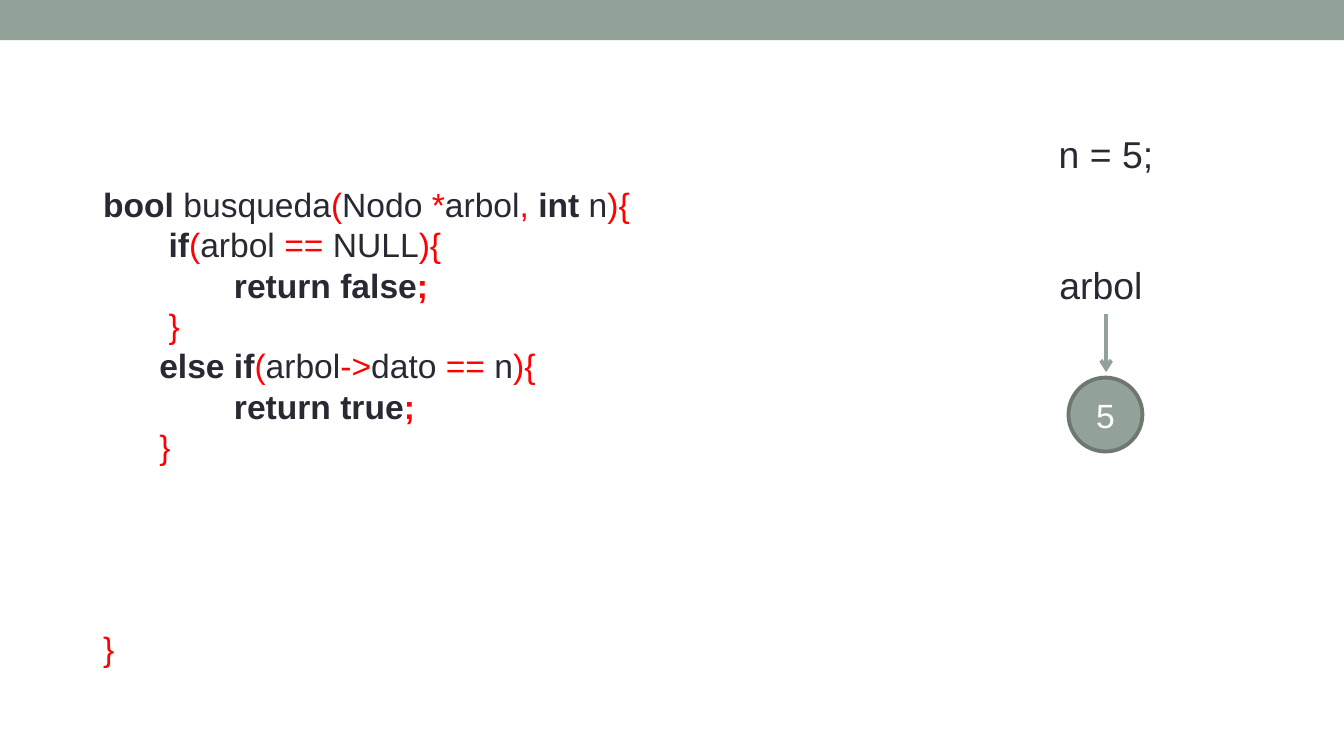
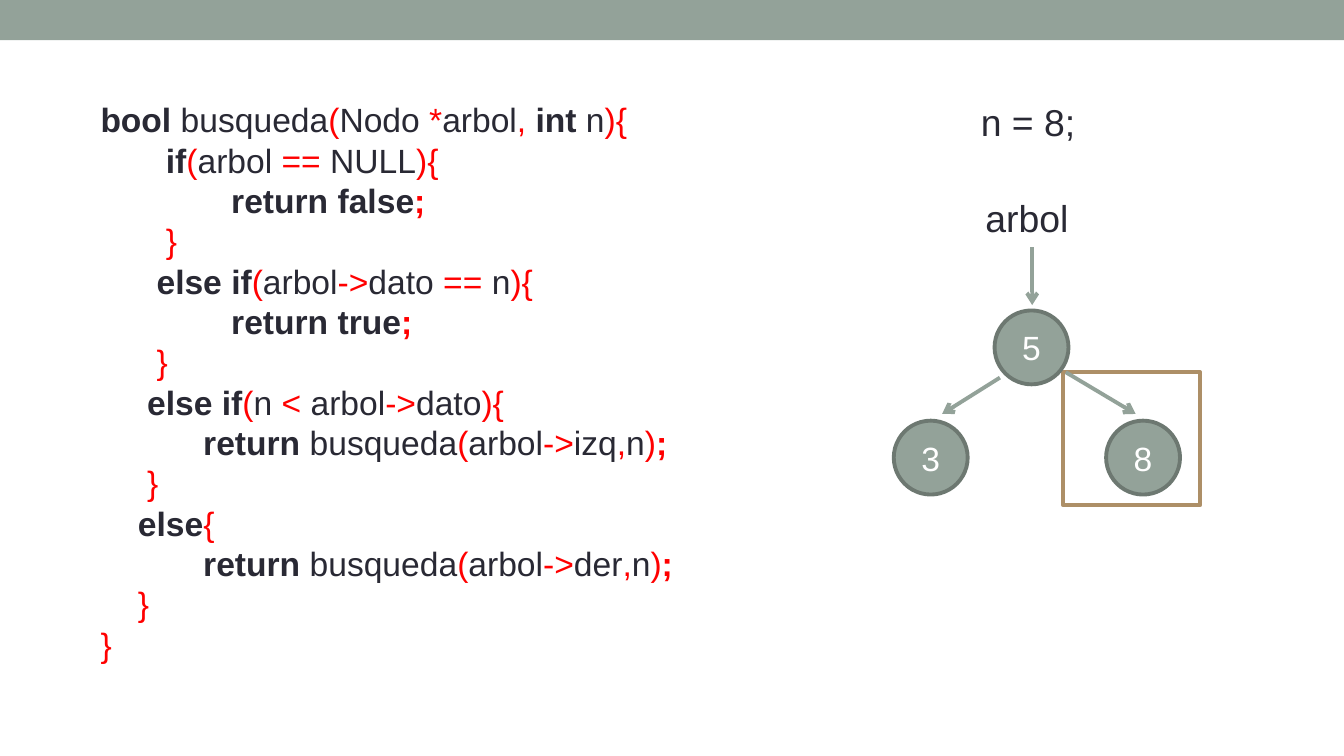
from dataclasses import dataclass
from itertools import groupby

from lxml.etree import SubElement
from pptx import Presentation
from pptx.dml.color import RGBColor
from pptx.enum.shapes import MSO_CONNECTOR, MSO_SHAPE
from pptx.enum.text import MSO_ANCHOR, MSO_AUTO_SIZE, PP_ALIGN
from pptx.oxml.ns import qn
from pptx.util import Inches, Pt


@dataclass(frozen=True)
class Theme:
    """Colours, type and line sizes shared by the slides."""
    sage: RGBColor = RGBColor(0x93, 0xA2, 0x99)
    outline: RGBColor = RGBColor(0x6D, 0x78, 0x71)
    tan: RGBColor = RGBColor(0xAD, 0x8F, 0x67)
    ink: RGBColor = RGBColor(0x29, 0x29, 0x34)
    red: RGBColor = RGBColor(0xFF, 0x00, 0x00)
    white: RGBColor = RGBColor(0xFF, 0xFF, 0xFF)
    font: str = "Arial"
    code_size: float = 18
    label_size: float = 20
    leading: float = 1.2
    stroke: float = 2.08


THEME = Theme()
KEYWORDS = {"bool", "int", "if", "else", "return", "true", "false"}
NODE = 0.55

BASE_CASES = """bool busqueda(Nodo *arbol, int n){
       if(arbol == NULL){
              return false;
       }
      else if(arbol->dato == n){
              return true;
      }""".splitlines()

RECURSIVE_CASES = """     else if(n < arbol->dato){
           return busqueda(arbol->izq,n);
     }
    else{
           return busqueda(arbol->der,n);
    }""".splitlines()


def write(paragraph, text, *, size=THEME.code_size, color=THEME.ink, bold=False,
          align=PP_ALIGN.LEFT):
    """Append formatted text to a paragraph."""
    paragraph.alignment = align
    paragraph.line_spacing = Pt(size * THEME.leading)
    run = paragraph.add_run()
    run.text = text
    run.font.name = THEME.font
    run.font.size = Pt(size)
    run.font.bold = bold
    run.font.color.rgb = color


def add_text_box(slide, left, top, width, height):
    """Return a wrapping text box that grows with its text."""
    box = slide.shapes.add_textbox(Inches(left), Inches(top), Inches(width), Inches(height))
    box.text_frame.word_wrap = True
    box.text_frame.auto_size = MSO_AUTO_SIZE.SHAPE_TO_FIT_TEXT
    return box


def add_label(slide, text, left, top, width, align=PP_ALIGN.CENTER):
    """Place a one-line label."""
    label = add_text_box(slide, left, top, width, 0.44)
    write(label.text_frame.paragraphs[0], text, size=THEME.label_size, align=align)
    return label


def add_figure(slide, preset, left, top, width, height, fill, outline=None):
    """Place a filled preset shape, outlined on request."""
    figure = slide.shapes.add_shape(
        preset, Inches(left), Inches(top), Inches(width), Inches(height))
    figure.shadow.inherit = False
    figure.fill.solid()
    figure.fill.fore_color.rgb = fill
    if outline is None:
        figure.line.fill.background()
    else:
        figure.line.color.rgb = outline
        figure.line.width = Pt(THEME.stroke)
    return figure


def add_arrow(slide, start, end):
    """Draw an open-headed arrow between two points."""
    arrow = slide.shapes.add_connector(
        MSO_CONNECTOR.STRAIGHT, *(Inches(value) for value in (*start, *end)))
    arrow.line.color.rgb = THEME.sage
    arrow.line.width = Pt(THEME.stroke)
    properties = arrow._element.spPr
    SubElement(properties.find(qn("a:ln")), qn("a:tailEnd"), type="arrow")
    SubElement(properties, qn("a:effectLst"))
    return arrow


def add_node(slide, value, left, top):
    """Draw a tree node with its value."""
    node = add_figure(slide, MSO_SHAPE.OVAL, left, top, NODE, NODE, THEME.sage, THEME.outline)
    frame = node.text_frame
    frame.margin_left = frame.margin_right = frame.margin_top = frame.margin_bottom = 0
    frame.vertical_anchor = MSO_ANCHOR.MIDDLE
    write(frame.paragraphs[0], value, color=THEME.white, align=PP_ALIGN.CENTER)


def char_kind(char):
    """Classify a code character as word, space, semicolon or symbol."""
    if char.isalnum():
        return "word"
    return "space" if char.isspace() else "end" if char == ";" else "symbol"


def highlight(line):
    """Yield (text, colour, bold) for each stretch of a code line."""
    styled = []
    for kind, chars in groupby(line, char_kind):
        token = "".join(chars)
        color = THEME.red if kind in ("end", "symbol") else THEME.ink
        styled.append((token, color, kind == "end" or token in KEYWORDS))
    for (color, bold), tokens in groupby(styled, lambda part: part[1:]):
        yield "".join(token for token, *_ in tokens), color, bold


def add_code(slide, lines, left, top, width, height, skipped_lines=0):
    """Place highlighted code, with room for skipped lines before its closing brace."""
    frame = add_text_box(slide, left, top, width, height).text_frame
    for index, line in enumerate([*lines, "}"]):
        paragraph = frame.add_paragraph() if index else frame.paragraphs[0]
        for text, color, bold in highlight(line):
            write(paragraph, text, color=color, bold=bold)
    if skipped_lines:
        paragraph.space_before = Pt(skipped_lines * THEME.code_size * THEME.leading)


def add_root(slide, value, left, top):
    """Draw the root node under the pointer that names it."""
    pointer = add_label(slide, "arbol ", left - 0.43, top - 0.91, 1.42)
    center = left + 0.28
    arrow = add_arrow(slide, (center, top - 0.47), (center, top - 0.04))
    arrow.begin_connect(pointer, 2)
    add_node(slide, value, left, top)


def add_children(slide, smaller, larger, left, top):
    """Draw the two children of the root at the given place."""
    add_arrow(slide, (left + 0.04, top + 0.5), (left - 0.39, top + 0.77))
    add_node(slide, smaller, left - 0.75, top + 0.82)
    add_arrow(slide, (left + 0.53, top + 0.46), (left + 1.05, top + 0.77))
    add_node(slide, larger, left + 0.83, top + 0.82)


def add_slide(deck):
    """Add a blank slide with the top band."""
    slide = deck.slides.add_slide(deck.slide_layouts[6])
    add_figure(slide, MSO_SHAPE.RECTANGLE, 0, 0, 10, 0.3, THEME.sage)
    return slide


def build_root_search(deck):
    """Build the slide where the value is found at the root."""
    slide = add_slide(deck)
    add_code(slide, BASE_CASES, 0.67, 1.32, 4.17, 3.74, skipped_lines=4)
    add_root(slide, "5", 7.95, 2.81)
    add_label(slide, "n = 5;", 7.13, 0.93, 2.2)


def build_subtree_search(deck):
    """Build the slide where the search goes on in the right subtree."""
    slide = add_slide(deck)
    left, top = 7.4, 2.31
    add_code(slide, BASE_CASES + RECURSIVE_CASES, 0.65, 0.69, 4.9, 4.34)
    add_label(slide, "n = 8;", 7.2, 0.69, 1.1, align=PP_ALIGN.LEFT)
    add_figure(slide, MSO_SHAPE.RECTANGLE, left + 0.51, top + 0.46, 1.02, 0.99,
               THEME.white, THEME.tan)
    add_root(slide, "5", left, top)
    add_children(slide, "3", "8", left, top)


def main():
    """Build and save a 16:9 deck."""
    deck = Presentation()
    deck.slide_width = Inches(10)
    deck.slide_height = Inches(10 * 9 / 16)
    build_root_search(deck)
    build_subtree_search(deck)
    deck.save("out.pptx")


if __name__ == "__main__":
    main()
